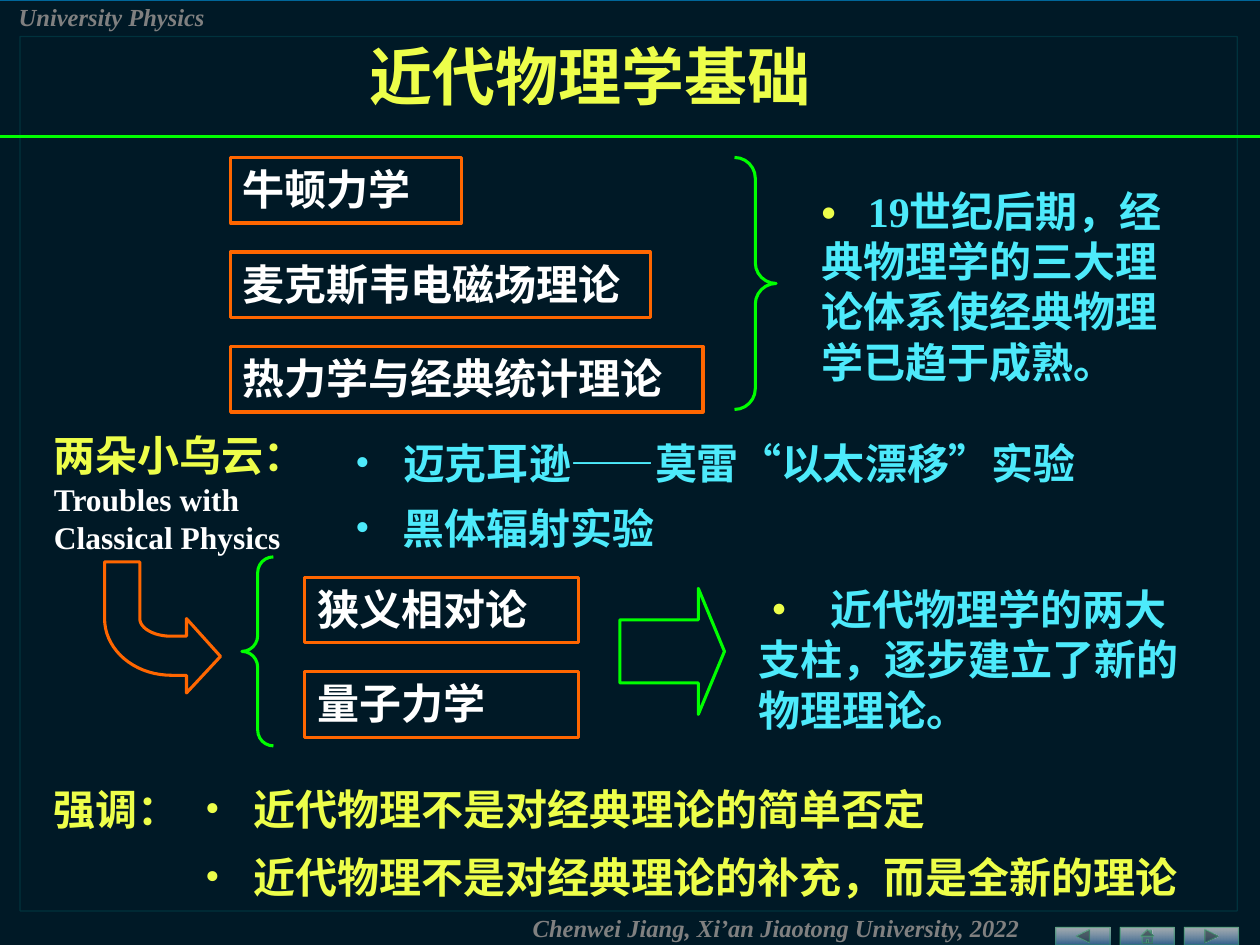
"""Build the slide introducing the foundations of modern physics."""
from math import cos, radians, sin

from lxml.etree import SubElement
from pptx import Presentation
from pptx.dml.color import RGBColor
from pptx.enum.shapes import MSO_CONNECTOR, MSO_SHAPE
from pptx.enum.text import MSO_ANCHOR, PP_ALIGN
from pptx.oxml.ns import qn
from pptx.util import Inches, Pt

COLORS = {
    name: RGBColor.from_string(value)
    for name, value in {
        "base": "006699", "black": "000000", "white": "FFFFFF",
        "button": "336699", "edge": "339966", "frame": "009999",
        "gray": "808080", "yellow": "EDFE4A", "cyan": "4DEAFB",
        "green": "00FF00", "orange": "FF6600",
    }.items()
}


def write(frame, text, color="white", size=24, italic=False, bullet=False,
          tab=None, wrap=True):
    """Fill a text frame, one paragraph per line of text."""
    frame.word_wrap = wrap
    frame.vertical_anchor = MSO_ANCHOR.TOP
    for index, line in enumerate(text.split("\n")):
        para = frame.paragraphs[0] if index == 0 else frame.add_paragraph()
        para.alignment = PP_ALIGN.LEFT
        props = para._p.get_or_add_pPr()
        if bullet:
            props.set("marL", str(Inches(0.49)))
            props.set("indent", str(-Inches(0.38)))
            SubElement(props, qn("a:buFont"), typeface="Times New Roman")
            SubElement(props, qn("a:buChar"), char="•")
        parts = [(line, color)]
        if tab:
            stops = SubElement(props, qn("a:tabLst"))
            SubElement(stops, qn("a:tab"), pos=str(Inches(tab)), algn="l")
            parts.insert(0, ("•\t", "yellow"))
        for part, part_color in parts:
            span = para.add_run()
            span.text = part
            span.font.name = "Times New Roman"
            span.font.size = Pt(size if index == 0 else 18)
            span.font.bold = True
            span.font.italic = italic
            span.font.color.rgb = COLORS[part_color if index == 0 else "white"]


def set_alpha(color_element, percent):
    """Make a colour element partly transparent."""
    SubElement(color_element, qn("a:alpha"), val=str(percent * 1000))


deck = Presentation()
deck.slide_width, deck.slide_height = Inches(10), Inches(7.5)
page = deck.slides.add_slide(deck.slide_layouts[5])
page.background.fill.solid()
page.background.fill.fore_color.rgb = COLORS["base"]

shade = page.shapes.add_shape(
    MSO_SHAPE.RECTANGLE, Inches(0), Inches(0.01), Inches(10), Inches(7.49))
shade.shadow.inherit = False
shade.fill.solid()
shade.fill.fore_color.rgb = COLORS["black"]
shade.line.fill.background()
set_alpha(next(shade._element.spPr.iter(qn("a:srgbClr"))), 75)

buttons = [MSO_SHAPE.ACTION_BUTTON_BACK_OR_PREVIOUS,
           MSO_SHAPE.ACTION_BUTTON_HOME,
           MSO_SHAPE.ACTION_BUTTON_FORWARD_OR_NEXT]
for index, kind in enumerate(buttons):
    button = page.shapes.add_shape(
        kind, Inches(8.38 + 0.51 * index), Inches(7.36), Inches(0.43), Inches(0.14))
    button.shadow.inherit = False
    button.fill.gradient()
    button.fill.gradient_angle = 270
    for stop, color in zip(button.fill.gradient_stops, ("white", "button")):
        stop.color.rgb = COLORS[color]
    button.line.color.rgb = COLORS["edge"]
    button.line.width = Pt(0)
    for element, percent in zip(button._element.spPr.iter(qn("a:srgbClr")), (62, 89, 52)):
        set_alpha(element, percent)

border = page.shapes.add_shape(
    MSO_SHAPE.RECTANGLE, Inches(0.16), Inches(0.29), Inches(9.66), Inches(6.94))
border.shadow.inherit = False
border.fill.background()
border.line.color.rgb = COLORS["frame"]
border.line.width = Pt(0.75)
set_alpha(next(border._element.spPr.iter(qn("a:srgbClr"))), 20)

title = page.shapes.title
title.left, title.top = Inches(2.83), Inches(0.25)
title.width, title.height = Inches(3.73), Inches(0.7)
write(title.text_frame, "近代物理学基础", color="yellow", size=36, wrap=False)
page.shapes._spTree.append(title._element)

rule = page.shapes.add_connector(
    MSO_CONNECTOR.STRAIGHT, Inches(0), Inches(1.08), Inches(10), Inches(1.08))
rule.line.color.rgb = COLORS["green"]
rule.line.width = Pt(1.75)
SubElement(rule._element.spPr, qn("a:effectLst"))

theories = [
    (1.83, 1.25, 1.83, "牛顿力学"),
    (1.83, 2, 3.33, "麦克斯韦电磁场理论"),
    (1.83, 2.75, 3.75, "热力学与经典统计理论"),
    (2.42, 4.58, 2.17, "狭义相对论"),
    (2.42, 5.33, 2.17, "量子力学"),
]
outlines = []
for left, top, width, text in theories:
    box = page.shapes.add_shape(
        MSO_SHAPE.RECTANGLE, Inches(left), Inches(top), Inches(width), Inches(0.52))
    write(box.text_frame, text)
    outlines.append((box, "orange"))

symbols = [
    (MSO_SHAPE.RIGHT_BRACE, 5.83, 1.25, 0.33, 2, 0.5),
    (MSO_SHAPE.LEFT_BRACE, 1.92, 4.42, 0.25, 1.5, 0.5),
    (MSO_SHAPE.RIGHT_ARROW, 4.92, 4.67, 0.83, 1, 0.25),
]
for kind, left, top, width, height, second in symbols:
    symbol = page.shapes.add_shape(
        kind, Inches(left), Inches(top), Inches(width), Inches(height))
    symbol.adjustments[0] = 0.5
    symbol.adjustments[1] = second
    outlines.append((symbol, "green"))

outer, inner = [
    [(1.36 + across * cos(radians(angle)), 4.91 + down * sin(radians(angle)))
     for angle in range(90, 181, 5)]
    for across, down in ((0.53, 0.45), (0.25, 0.14))
]
points = [(1.75, 5.21), (1.48, 5.5), (1.48, 5.36), *outer, (0.83, 4.46),
          (1.11, 4.46), *reversed(inner), (1.48, 5.05), (1.48, 4.91)]
corners = [(Inches(x), Inches(y)) for x, y in points]
builder = page.shapes.build_freeform(*corners[0])
builder.add_line_segments(corners[1:], close=True)
outlines.append((builder.convert_to_shape(), "orange"))

for shape, color in outlines:
    shape.shadow.inherit = False
    shape.fill.background()
    shape.line.color.rgb = COLORS[color]
    shape.line.width = Pt(1.75)

texts = [
    (4.13, 7.2, 5.43, 0.33, "Chenwei Jiang, Xi’an Jiaotong University, 2022",
     dict(color="gray", size=14, italic=True)),
    (0.05, -0.03, 2.6, 0.33, "University Physics",
     dict(color="gray", size=14, italic=True)),
    (6.42, 1.42, 3.17, 1.7, "19世纪后期，经典物理学的三大理论体系使经典物理学已趋于成熟。",
     dict(color="cyan", tab=0.37)),
    (0.33, 3.36, 4.27, 1.1, "两朵小乌云：\nTroubles with\nClassical Physics",
     dict(color="yellow")),
    (2.61, 3.42, 6.25, 0.5, "迈克耳逊——莫雷“以太漂移”实验",
     dict(color="cyan", bullet=True)),
    (2.61, 3.94, 3.5, 0.5, "黑体辐射实验", dict(color="cyan", bullet=True)),
    (0.33, 6.17, 1.67, 0.5, "强调：", dict(color="yellow")),
    (1.42, 6.17, 7, 0.5, "近代物理不是对经典理论的简单否定",
     dict(color="yellow", bullet=True)),
    (1.42, 6.71, 8.39, 0.5, "近代物理不是对经典理论的补充，而是全新的理论",
     dict(color="yellow", bullet=True)),
    (5.92, 4.58, 3.75, 1.3, "近代物理学的两大支柱，逐步建立了新的物理理论。",
     dict(color="cyan", tab=0.57)),
]
for left, top, width, height, text, style in texts:
    box = page.shapes.add_textbox(
        Inches(left), Inches(top), Inches(width), Inches(height))
    write(box.text_frame, text, **style)

deck.save("out.pptx")
